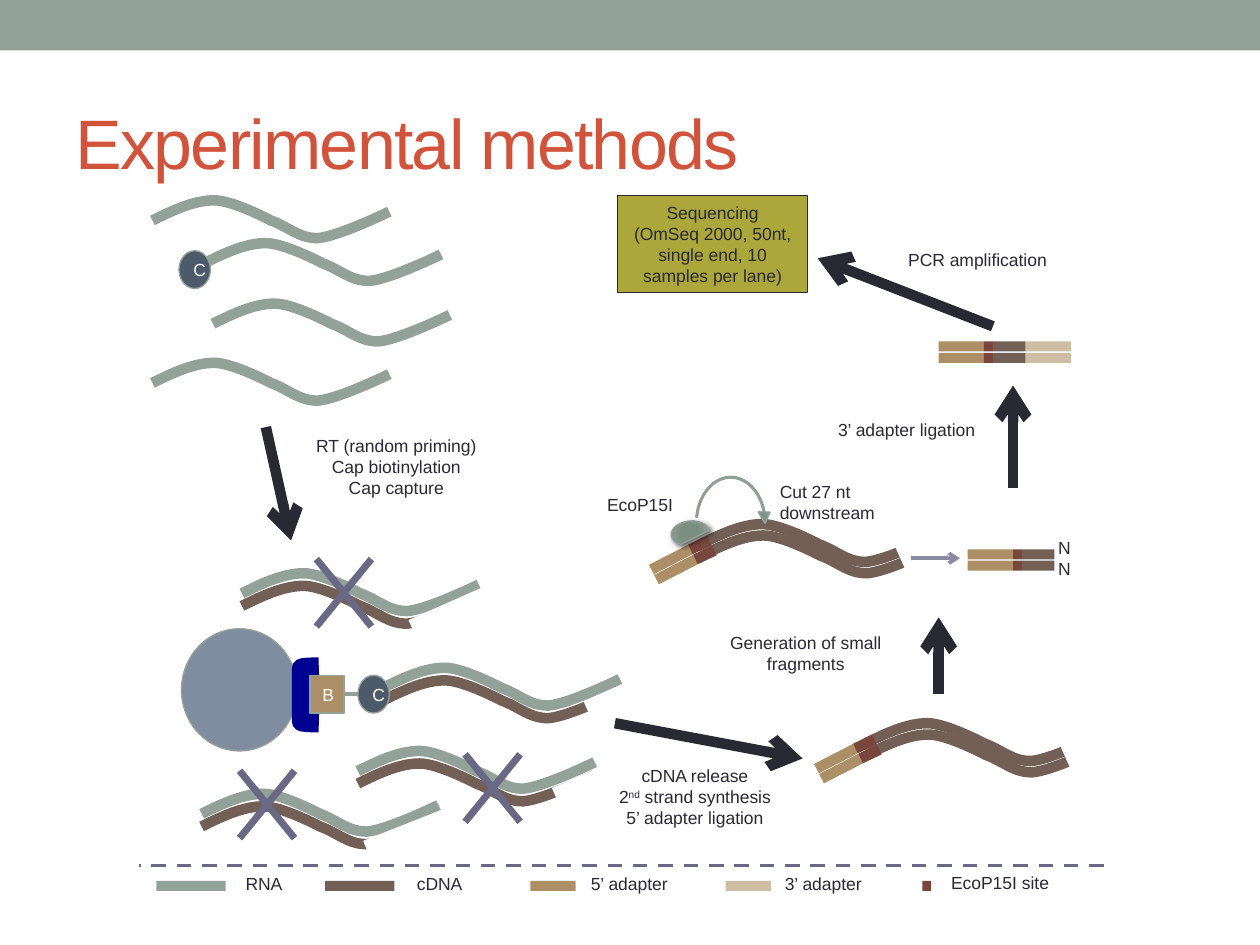
"""Build the slide that shows the experimental methods of a cap-capture sequencing workflow."""
from dataclasses import dataclass
from itertools import accumulate, pairwise
from typing import Any

from lxml import etree
from pptx import Presentation
from pptx.dml.color import RGBColor
from pptx.enum.dml import MSO_LINE
from pptx.enum.shapes import MSO_CONNECTOR, MSO_SHAPE
from pptx.enum.text import MSO_ANCHOR, PP_ALIGN
from pptx.oxml.ns import qn
from pptx.util import Inches, Pt

STRAIGHT = MSO_CONNECTOR.STRAIGHT
RECTANGLE, ELLIPSE, CHORD = MSO_SHAPE.RECTANGLE, MSO_SHAPE.OVAL, MSO_SHAPE.CHORD
BRACKET, CROSS, LOOP = MSO_SHAPE.LEFT_BRACKET, MSO_SHAPE.MATH_MULTIPLY, MSO_SHAPE.CIRCULAR_ARROW
LEFT, CENTER, MIDDLE = PP_ALIGN.LEFT, PP_ALIGN.CENTER, MSO_ANCHOR.MIDDLE
DASH = MSO_LINE.DASH

WAVE = [(0, 0.16), (0.16, 0.08), (0.33, 0), (0.49, 0), (0.64, 0), (0.94, 0.16), (0.94, 0.16),
        (1.08, 0.21), (1.16, 0.3), (1.31, 0.3), (1.47, 0.29), (1.88, 0.09), (1.88, 0.09)]
SLOPE = 336.1


@dataclass(frozen=True)
class Theme:
    """Colours, font and sizes of the slide."""
    font: str = "Arial"
    title_size: float = 40
    body_size: float = 10
    strand: float = 6
    thin: float = 0.75
    medium: float = 2.08
    bracket: float = 10.5
    title: str = "D2533C"
    ink: str = "292934"
    white: str = "FFFFFF"
    rna: str = "93A299"
    rna_dark: str = "7B8E82"
    cdna: str = "726056"
    five: str = "AD8F67"
    three: str = "CEBCA4"
    site: str = "79463D"
    bead: str = "808DA0"
    cap: str = "4C5A6A"
    streptavidin: str = "000090"
    cross: str = "696986"
    cut: str = "8A8AA3"
    sequencing: str = "ACA73B"


def write(frame, lines, *, font, size, color, align=LEFT, spacing=None):
    """Write lines into a frame; text between carets is superscript."""
    frame.word_wrap = True
    for index, line in enumerate(lines):
        para = frame.add_paragraph() if index else frame.paragraphs[0]
        para.alignment = align
        for part, text in enumerate(line.split("^")):
            span = para.add_run()
            span.text = text
            span.font.name, span.font.size = font, Pt(size)
            span.font.color.rgb = RGBColor.from_string(color)
            properties = span.font._element
            if part % 2:
                properties.set("baseline", "30000")
            if spacing is not None:
                properties.set("spc", str(spacing))


@dataclass
class Sketch:
    """Draws elements on the current slide in one theme."""
    theme: Theme
    page: Any

    def outline(self, line, color, width):
        """Set the colour and width of a line."""
        line.color.rgb = RGBColor.from_string(color)
        line.width = Pt(width)

    def heading(self, text, left, top, width, height):
        """Place and fill the title placeholder."""
        box = self.page.shapes.title
        box.left, box.top, box.width, box.height = map(Inches, (left, top, width, height))
        box.text_frame.vertical_anchor = MIDDLE
        write(box.text_frame, [text], font=self.theme.font, size=self.theme.title_size,
              color=self.theme.title, spacing=-100)

    def label(self, lines, left, top, width, height, align=LEFT):
        """Add a text box."""
        box = self.page.shapes.add_textbox(*map(Inches, (left, top, width, height)))
        write(box.text_frame, lines, font=self.theme.font, size=self.theme.body_size,
              color=self.theme.ink, align=align)

    def shape(self, kind, left, top, width, height, *, fill=None, line=None, weight=None,
              turn=0, adjust=(), lines=(), color=None):
        """Add a preset shape."""
        box = self.page.shapes.add_shape(kind, *map(Inches, (left, top, width, height)))
        box.shadow.inherit = False
        box.rotation = turn
        for index, value in enumerate(adjust):
            box.adjustments[index] = value
        if fill:
            box.fill.solid()
            box.fill.fore_color.rgb = RGBColor.from_string(fill)
        else:
            box.fill.background()
        if line:
            self.outline(box.line, line, weight or self.theme.thin)
        else:
            box.line.fill.background()
        if lines:
            write(box.text_frame, lines, font=self.theme.font, size=self.theme.body_size,
                  color=color or self.theme.white, align=CENTER)
        return box

    def glow(self, kind, *place, **options):
        """Add a preset shape with a radial gradient."""
        box = self.shape(kind, *place, line=self.theme.rna, **options)
        box.fill.gradient()
        stops = zip(box.fill.gradient_stops, (0.34, 1), (self.theme.rna_dark, self.theme.rna))
        for stop, position, color in stops:
            stop.position = position
            stop.color.rgb = RGBColor.from_string(color)
        gradient = box._element.spPr.find(qn("a:gradFill"))
        gradient.remove(gradient.find(qn("a:lin")))
        radial = etree.SubElement(gradient, qn("a:path"), path="circle")
        etree.SubElement(radial, qn("a:fillToRect"), l="100000", t="100000", r="100000", b="100000")
        return box

    def cast_shadow(self, box):
        """Give a shape a soft dark shadow."""
        effects = box._element.spPr.find(qn("a:effectLst"))
        shadow = etree.SubElement(effects, qn("a:outerShdw"), blurRad=str(Pt(3)),
                                  dist=str(Pt(2)), dir="2700000")
        black = etree.SubElement(shadow, qn("a:srgbClr"), val="000000")
        etree.SubElement(black, qn("a:alpha"), val="60000")

    def line(self, start, end, color, width=6, arrow=False, dash=None):
        """Add a straight connector."""
        link = self.page.shapes.add_connector(STRAIGHT, *map(Inches, (*start, *end)))
        self.outline(link.line, color, width)
        if dash:
            link.line.dash_style = dash
        if arrow:
            etree.SubElement(link.line._ln, qn("a:tailEnd"), type="arrow")
        etree.SubElement(link._element.spPr, qn("a:effectLst"))
        return link

    def wave(self, left, top, color):
        """Add a strand of smooth Bezier curves."""
        first, *rest = [(Inches(left + x), Inches(top + y)) for x, y in WAVE]
        builder = self.page.shapes.build_freeform(*first, scale=1.0)
        builder.add_line_segments(rest, close=False)
        strand = builder.convert_to_shape()
        strand.shadow.inherit = False
        strand.fill.background()
        self.outline(strand.line, color, self.theme.strand)
        track = next(strand._element.iter(qn("a:path")))
        segments = track.findall(qn("a:lnTo"))
        for index in range(0, len(segments), 3):
            curve = etree.SubElement(track, qn("a:cubicBezTo"))
            for segment in segments[index:index + 3]:
                curve.append(segment[0])
                track.remove(segment)

    def hybrid(self, left, top, mask, turn=SLOPE):
        """Add an RNA strand with a shortened cDNA strand below it."""
        self.wave(left, top, self.theme.rna)
        self.wave(left, top + 0.1, self.theme.cdna)
        self.shape(RECTANGLE, *mask, fill=self.theme.white, turn=turn)

    def duplex(self, left, top):
        """Add a double cDNA strand with its 5’ adapter and EcoP15I site."""
        self.wave(left + 0.01, top + 0.09, self.theme.cdna)
        self.wave(left, top, self.theme.cdna)
        self.shape(RECTANGLE, left + 1.56, top + 0.06, 0.5, 0.2, fill=self.theme.white, turn=SLOPE)
        pieces = ((-0.39, 0.36, 0, 0.16, self.theme.five), (-0.08, 0.2, 0.07, 0.13, self.theme.site))
        for x1, y1, x2, y2, color in pieces:
            for dx, dy in ((0, 0), (0.04, 0.08)):
                x, y = left + dx, top + dy
                self.line((x + x1, y + y1), (x + x2, y + y2), color)

    def fragment(self, left, top, parts):
        """Add a straight double strand made of coloured parts."""
        edges = accumulate((width for width, _ in parts), initial=left)
        for (start, end), (_, color) in zip(pairwise(edges), parts):
            for row in (0, 0.09):
                self.shape(RECTANGLE, start, top + row, end - start, 0.08, fill=color)


def main():
    """Build and save the deck."""
    deck = Presentation()
    deck.slide_width, deck.slide_height = Inches(10), Inches(7.5)
    theme = Theme()
    sketch = Sketch(theme, deck.slides.add_slide(deck.slide_layouts[5]))
    sketch.shape(RECTANGLE, 0, 0, 10, 0.4, fill=theme.rna)
    sketch.heading("Experimental methods", 0.5, 0.58, 9, 1.08)

    for left, top in ((1.21, 1.59), (1.62, 1.93), (1.69, 2.41), (1.21, 2.88)):
        sketch.wave(left, top, theme.rna)
    sketch.hybrid(1.92, 4.55, (3.24, 4.78, 0.67, 0.13))
    sketch.hybrid(3.04, 5.3, (4.63, 5.46, 0.5, 0.1))
    sketch.hybrid(1.6, 6.3, (2.89, 6.54, 0.69, 0.17), 338.4)
    sketch.hybrid(2.84, 5.96, (4.38, 6.15, 0.5, 0.1))
    for left, top in ((2.31, 4.19), (3.49, 5.74), (1.7, 5.87)):
        sketch.shape(CROSS, left, top, 0.84, 1.03, fill=theme.cross, adjust=[0.066])

    sketch.shape(ELLIPSE, 1.44, 4.99, 0.92, 0.97, fill=theme.bead, line=theme.rna)
    sketch.shape(BRACKET, 2.39, 5.29, 0.14, 0.45, line=theme.streptavidin, weight=theme.bracket)
    for left, top in ((1.42, 1.99), (2.84, 5.36)):
        sketch.shape(ELLIPSE, left, top, 0.25, 0.3, fill=theme.cap, line=theme.rna, lines=["C"])
    biotin = sketch.shape(RECTANGLE, 2.46, 5.36, 0.27, 0.3, fill=theme.five, line=theme.rna, lines=["B"])
    sketch.line((2.84, 5.51), (2.73, 5.51), theme.rna, theme.medium).end_connect(biotin, 3)

    sketch.duplex(6.87, 5.74)
    sketch.duplex(5.56, 4.16)
    sketch.line((7.23, 4.43), (7.62, 4.43), theme.cut, theme.medium, arrow=True)
    sketch.cast_shadow(sketch.glow(CHORD, 5.38, 4.08, 0.19, 0.3, turn=82.9))
    sketch.glow(LOOP, 5.48, 3.74, 0.64, 0.82, adjust=[0.022, 11.423, 205.181, 113.684, 0.074])
    parts = [(0.36, theme.five), (0.07, theme.site), (0.26, theme.cdna), (0.36, theme.three)]
    sketch.fragment(7.45, 2.71, parts)
    sketch.fragment(7.68, 4.36, parts[:3])

    for start, end in (((2.11, 3.39), (2.31, 4.29)), ((4.88, 5.74), (6.37, 6.02)),
                       ((7.45, 5.51), (7.45, 4.9)), ((8.04, 3.87), (8.04, 3.06)),
                       ((7.88, 2.59), (6.49, 2.05))):
        sketch.line(start, end, theme.ink, arrow=True)
    sketch.shape(RECTANGLE, 4.9, 1.55, 1.51, 0.77, fill=theme.sequencing, line=theme.ink, color=theme.ink,
                 lines=["Sequencing", "(OmSeq 2000, 50nt, single end, 10 samples per lane)"])
    for lines, left, top, height in (
            (["RT (random priming)", "Cap biotinylation", "Cap capture"], 2.23, 3.4, 0.61),
            (["cDNA release", "2^nd^ strand synthesis", "5’ adapter ligation"], 4.6, 6.02, 0.61),
            (["Generation of small fragments"], 5.48, 4.97, 0.44),
            (["3’ adapter ligation"], 6.28, 3.28, 0.27)):
        sketch.label(lines, left, top, 1.83, height, CENTER)
    sketch.label(["EcoP15I"], 4.72, 3.87, 0.86, 0.27)
    sketch.label(["Cut 27 nt downstream"], 6.09, 3.77, 1.02, 0.44)
    sketch.label(["NN"], 8.3, 4.21, 0.35, 0.44)
    sketch.label(["PCR amplification"], 7.11, 1.93, 1.54, 0.27)

    sketch.line((8.76, 6.87), (1.1, 6.87), theme.cross, theme.medium, dash=DASH)
    for text, left, width, color, text_left, text_top, text_width in (
            ("RNA", 1.24, 0.55, theme.rna, 1.85, 6.88, 0.61),
            ("cDNA", 2.58, 0.55, theme.cdna, 3.21, 6.88, 0.61),
            ("5’ adapter", 4.21, 0.36, theme.five, 4.59, 6.88, 1.22),
            ("3’ adapter", 5.76, 0.36, theme.three, 6.13, 6.88, 1.22),
            ("EcoP15I site", 7.32, 0.07, theme.site, 7.45, 6.87, 1.22)):
        sketch.shape(RECTANGLE, left, 6.99, width, 0.08, fill=color)
        sketch.label([text], text_left, text_top, text_width, 0.27)
    deck.save("out.pptx")


if __name__ == "__main__":
    main()
